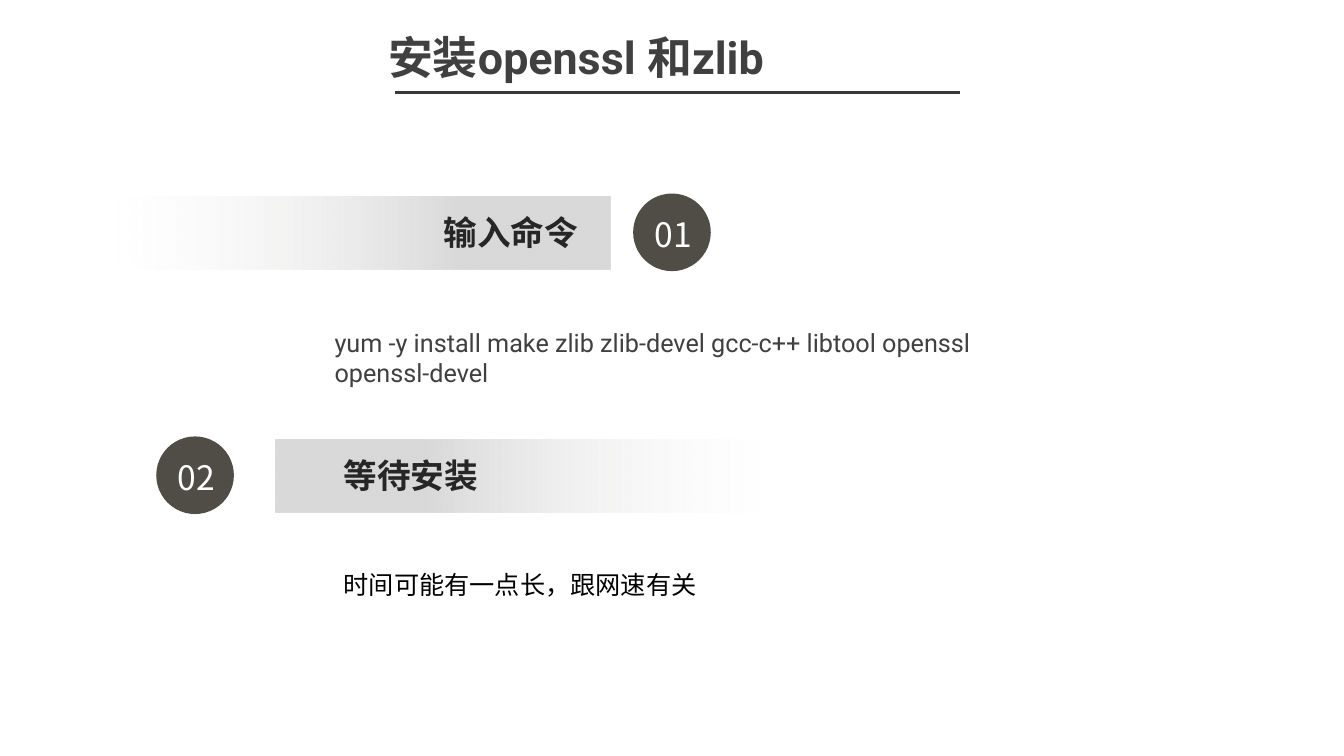
from dataclasses import dataclass
from lxml import etree
from pptx import Presentation
from pptx import util as u
from pptx.dml import color
from pptx.enum import shapes, text
from pptx.oxml import ns


@dataclass(frozen=True)
class Theme:
    dark: str = "504D47"
    pale: str = "F7F6F5"
    gray: str = "D9D9D9"
    rule: str = "3B3838"
    ink: str = "404040"
    head: str = "262626"
    white: str = "FFFFFF"
    black: str = "000000"
    latin: str = "Roboto"
    han: str = "Noto Sans CJK SC"
    big: int = 32
    mid: int = 24
    small: int = 18


theme = Theme()
rgb = color.RGBColor.from_string
align = text.PP_ALIGN


def place(box):
    return [u.Inches(v) for v in box]


def write(shape, words, size, tint, face, bold=False, wrap=True,
          side=align.LEFT, anchor=text.MSO_ANCHOR.TOP, space=1.0):
    frame = shape.text_frame
    frame.text = words
    para = frame.paragraphs[0]
    run = para.runs[0]
    looks = [
        (frame, {"word_wrap": wrap, "vertical_anchor": anchor,
                 "auto_size": text.MSO_AUTO_SIZE.SHAPE_TO_FIT_TEXT}),
        (para, {"alignment": side, "line_spacing": space}),
        (run.font, {"size": u.Pt(size), "bold": bold, "name": face}),
    ]
    for item, form in looks:
        for key, value in form.items():
            setattr(item, key, value)
    run.font.color.rgb = rgb(tint)
    east = etree.Element(ns.qn("a:ea"), typeface=theme.han)
    run.font._element.find(ns.qn("a:latin")).addnext(east)


deck = Presentation()
deck.slide_width, deck.slide_height = u.Inches(13.33), u.Inches(7.5)
slide = deck.slides.add_slide(deck.slide_layouts[5])
items = slide.shapes

title = items.title
title.left, title.top, title.width, title.height = place((3.75, 0.24, 6.06, 0.64))
write(title, "安装openssl 和zlib", theme.big, theme.ink, theme.latin, bold=True)

rule = items.add_connector(shapes.MSO_CONNECTOR.STRAIGHT,
                           *place((3.92, 0.92, 9.52, 0.92)))
rule.line.color.rgb = rgb(theme.rule)
rule.line.width = u.Pt(2)
etree.SubElement(rule._element.spPr, ns.qn("a:effectLst"))

steps = [
    ("01", 6.28, 1.92, 1.16, False, "输入命令", 4.28, align.RIGHT),
    ("02", 1.55, 4.33, 2.73, True, "等待安装", 3.31, align.LEFT),
]
for num, left, top, start, flip, label, inset, side in steps:
    bar = items.add_shape(shapes.MSO_SHAPE.RECTANGLE,
                          *place((start, top + 0.03, 4.9, 0.72)))
    bar.fill.gradient()
    bar.fill.gradient_angle = 0
    for stop, tint, spot in zip(bar.fill.gradient_stops,
                                (theme.pale, theme.gray), (0, 0.7)):
        stop.color.rgb = rgb(tint)
        stop.position = spot
    clear = bar._element.spPr.find(".//" + ns.qn("a:srgbClr"))
    etree.SubElement(clear, ns.qn("a:alpha"), val="0")
    if flip:
        bar._element.spPr.xfrm.set("flipH", "1")

    disc = items.add_shape(shapes.MSO_SHAPE.OVAL, *place((left, top, 0.77, 0.77)))
    disc.fill.solid()
    disc.fill.fore_color.rgb = rgb(theme.dark)
    for shape in (bar, disc):
        shape.shadow.inherit = False
        shape.line.fill.background()

    name = items.add_textbox(*place((inset, top + 0.13, 1.55, 0.5)))
    write(name, label, theme.mid, theme.head, theme.han,
          bold=True, wrap=False, side=side)
    mark = items.add_textbox(*place((left + 0.02, top + 0.07, 0.75, 0.59)))
    write(mark, num, theme.mid, theme.white, theme.han,
          side=align.CENTER, anchor=text.MSO_ANCHOR.MIDDLE, space=1.2)

notes = [
    ((3.22, 3.2, 7.46, 0.4), theme.ink, theme.latin, True,
     "yum -y install make zlib zlib-devel gcc-c++ libtool openssl openssl-devel"),
    ((3.31, 5.6, 3.74, 0.4), theme.black, theme.han, False,
     "时间可能有一点长，跟网速有关"),
]
for box, tint, face, wrap, words in notes:
    note = items.add_textbox(*place(box))
    write(note, words, theme.small, tint, face, wrap=wrap)

deck.save("out.pptx")
